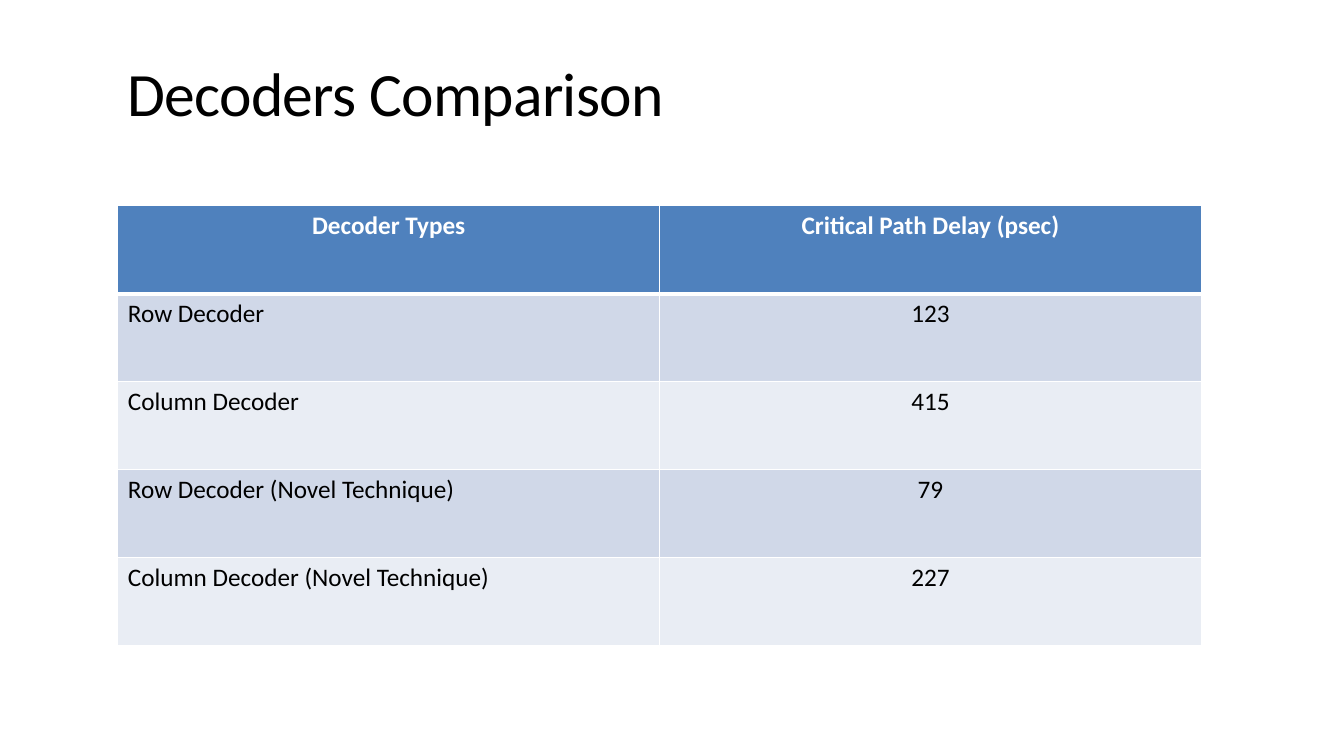
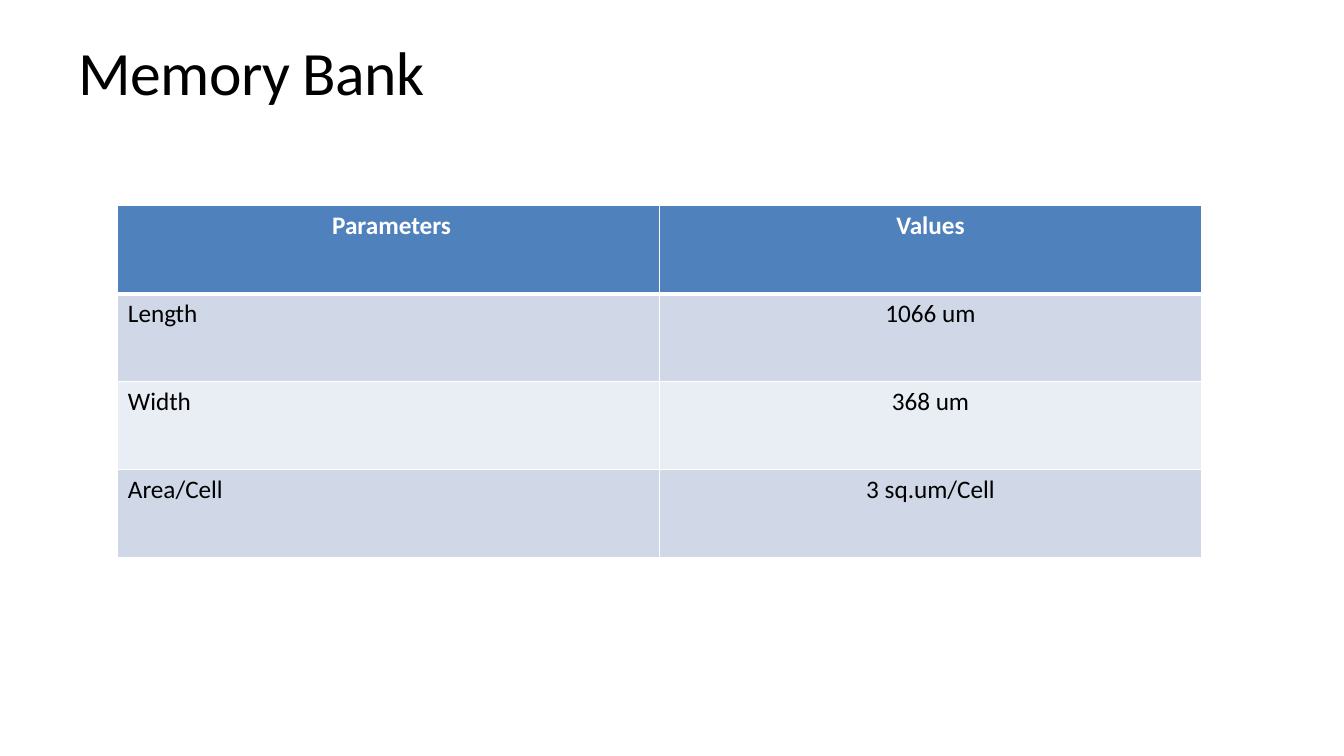
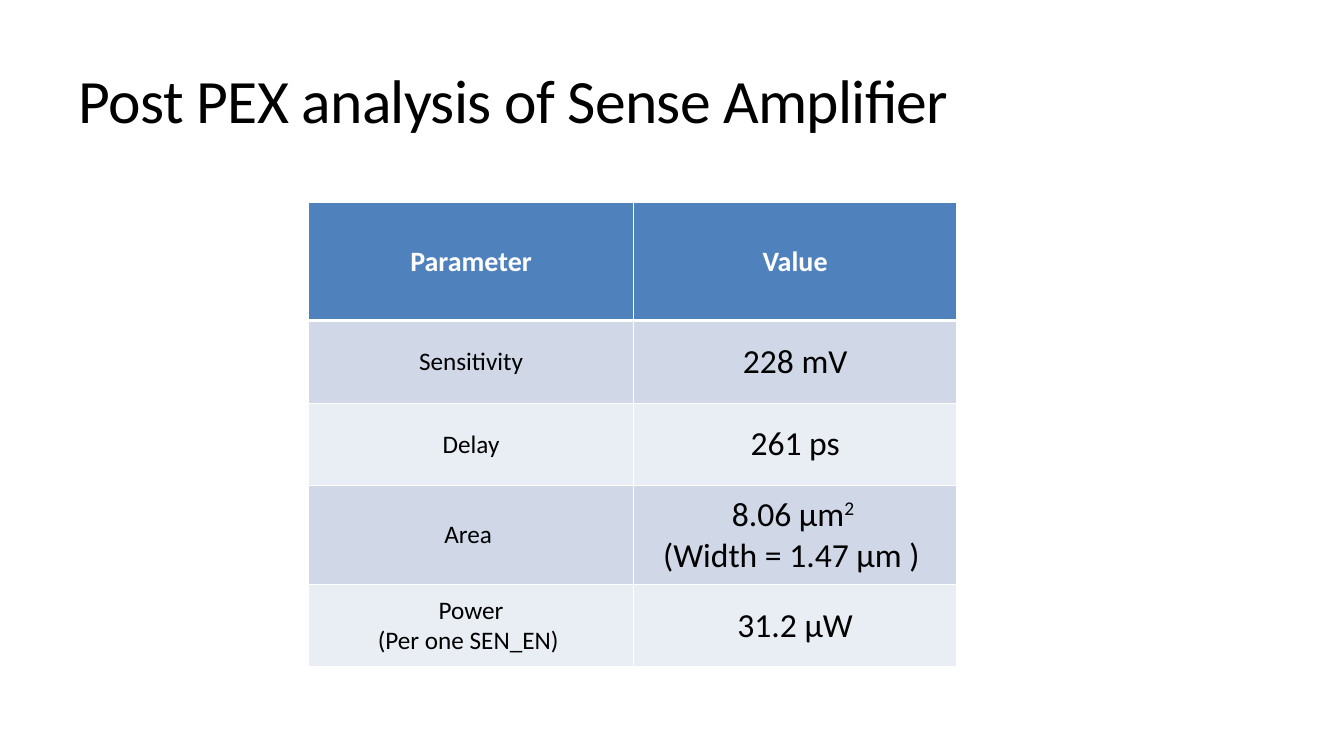
import pptx
import pptx.util
import pptx.dml.color
import pptx.enum.text
import pptx.oxml.ns
from lxml import etree

Pt = pptx.util.Pt
ALIGN = pptx.enum.text.PP_ALIGN
ANCHOR = pptx.enum.text.MSO_ANCHOR

COLORS = {
    "text": "000000",
    "header": "4F81BD",
    "header_text": "FFFFFF",
    "border": "FFFFFF",
    "band_dark": "D0D8E8",
    "band_light": "E9EDF4",
}


def rgb(name):
    return pptx.dml.color.RGBColor.from_string(COLORS[name])


class Deck:
    font = "Calibri"
    title_size = 44
    title_only_layout = 5

    def __init__(self):
        self.presentation = pptx.Presentation()
        self.presentation.slide_width = Pt(960)
        self.presentation.slide_height = Pt(540)
        self.slide = None

    def format_run(self, run, size, color, bold=False):
        run.font.name = self.font
        run.font.size = Pt(size)
        run.font.bold = bold
        run.font.color.rgb = rgb(color)

    def add_slide(self, title, left, top, width, height, line_spacing=0.85):
        layout = self.presentation.slide_layouts[self.title_only_layout]
        self.slide = self.presentation.slides.add_slide(layout)
        heading = self.slide.shapes.title
        heading.left, heading.top = Pt(left), Pt(top)
        heading.width, heading.height = Pt(width), Pt(height)
        frame = heading.text_frame
        frame.text = title
        frame.word_wrap = True
        frame.auto_size = pptx.enum.text.MSO_AUTO_SIZE.NONE
        frame.vertical_anchor = ANCHOR.MIDDLE
        frame.margin_left = frame.margin_right = Pt(9.6)
        frame.margin_top = frame.margin_bottom = Pt(4.8)
        paragraph = frame.paragraphs[0]
        paragraph.alignment = ALIGN.LEFT
        paragraph.line_spacing = line_spacing
        run = paragraph.runs[0]
        self.format_run(run, self.title_size, "text")
        run.font._element.set("spc", "-50")

    def add_borders(self, cell, row):
        widths = {"L": 1, "R": 1, "T": 3 if row == 1 else 1, "B": 3 if row == 0 else 1}
        properties = cell._tc.get_or_add_tcPr()
        qn = pptx.oxml.ns.qn
        for side, width in widths.items():
            line = etree.SubElement(properties, qn(f"a:ln{side}"), w=str(Pt(width)))
            fill = etree.SubElement(line, qn("a:solidFill"))
            etree.SubElement(fill, qn("a:srgbClr"), val=COLORS["border"])

    def add_table(self, rows, left, top, column_widths, row_heights,
                  header_size=18, column_sizes=(18, 18),
                  label_align=ALIGN.LEFT, anchor=ANCHOR.TOP):
        table = self.slide.shapes.add_table(
            len(rows), len(column_widths), Pt(left), Pt(top),
            Pt(sum(column_widths)), Pt(sum(row_heights))).table
        table.horz_banding = False
        for column, width in zip(table.columns, column_widths):
            column.width = Pt(width)
        for row, height in zip(table.rows, row_heights):
            row.height = Pt(height)
        for r, texts in enumerate(rows):
            is_header = r == 0
            band = "header" if is_header else ("band_light", "band_dark")[r % 2]
            color = "header_text" if is_header else "text"
            for c, text in enumerate(texts):
                cell = table.cell(r, c)
                self.add_borders(cell, r)
                cell.fill.solid()
                cell.fill.fore_color.rgb = rgb(band)
                cell.vertical_anchor = anchor
                cell.text_frame.text = text
                size = header_size if is_header else column_sizes[c]
                for paragraph in cell.text_frame.paragraphs:
                    is_label = c == 0 and not is_header
                    paragraph.alignment = label_align if is_label else ALIGN.CENTER
                    for run in paragraph.runs:
                        self.format_run(run, size, color, is_header)
        return table

    def add_superscript(self, paragraph, text, size):
        run = paragraph.add_run()
        run.text = text
        self.format_run(run, size, "text")
        run.font._element.set("baseline", "30000")


def main():
    deck = Deck()
    wide_columns = (387, 387)
    row_height = 62.9

    deck.add_slide("Decoders Comparison", 81.4, 45.4, 770.4, 52.6, line_spacing=0.75)
    decoders = [
        ("Decoder Types", "Critical Path Delay (psec)"),
        ("Row Decoder", "123"),
        ("Column Decoder", "415"),
        ("Row Decoder (Novel Technique)", "79"),
        ("Column Decoder (Novel Technique)", "227"),
    ]
    deck.add_table(decoders, 84.2, 146.9, wide_columns, [row_height] * len(decoders))

    deck.add_slide("Memory Bank", 46.8, 7.2, 742.3, 95)
    memory_bank = [
        (" Parameters", "Values"),
        ("Length", "1066 um"),
        ("Width", "368 um"),
        ("Area/Cell", "3 sq.um/Cell"),
    ]
    deck.add_table(memory_bank, 84.2, 146.9, wide_columns, [row_height] * len(memory_bank))

    deck.add_slide("Post PEX analysis of Sense Amplifier", 46.8, 27.4, 742.3, 95)
    sense_amplifier = [
        ("Parameter", "Value"),
        ("Sensitivity", "228 mV"),
        ("Delay", "261 ps"),
        ("Area ", "8.06 µm\n(Width = 1.47 µm ) "),
        ("Power\n(Per one SEN_EN) ", "31.2 µW"),
    ]
    value_size = 24
    results = deck.add_table(
        sense_amplifier, 220.5, 144.5, (232, 231), (84.5, 59, 59, 70.5, 59),
        header_size=20, column_sizes=(18, value_size),
        label_align=ALIGN.CENTER, anchor=ANCHOR.MIDDLE)
    area_value = results.cell(3, 1).text_frame.paragraphs[0]
    deck.add_superscript(area_value, "2 ", value_size)

    deck.presentation.save("out.pptx")


if __name__ == "__main__":
    main()
